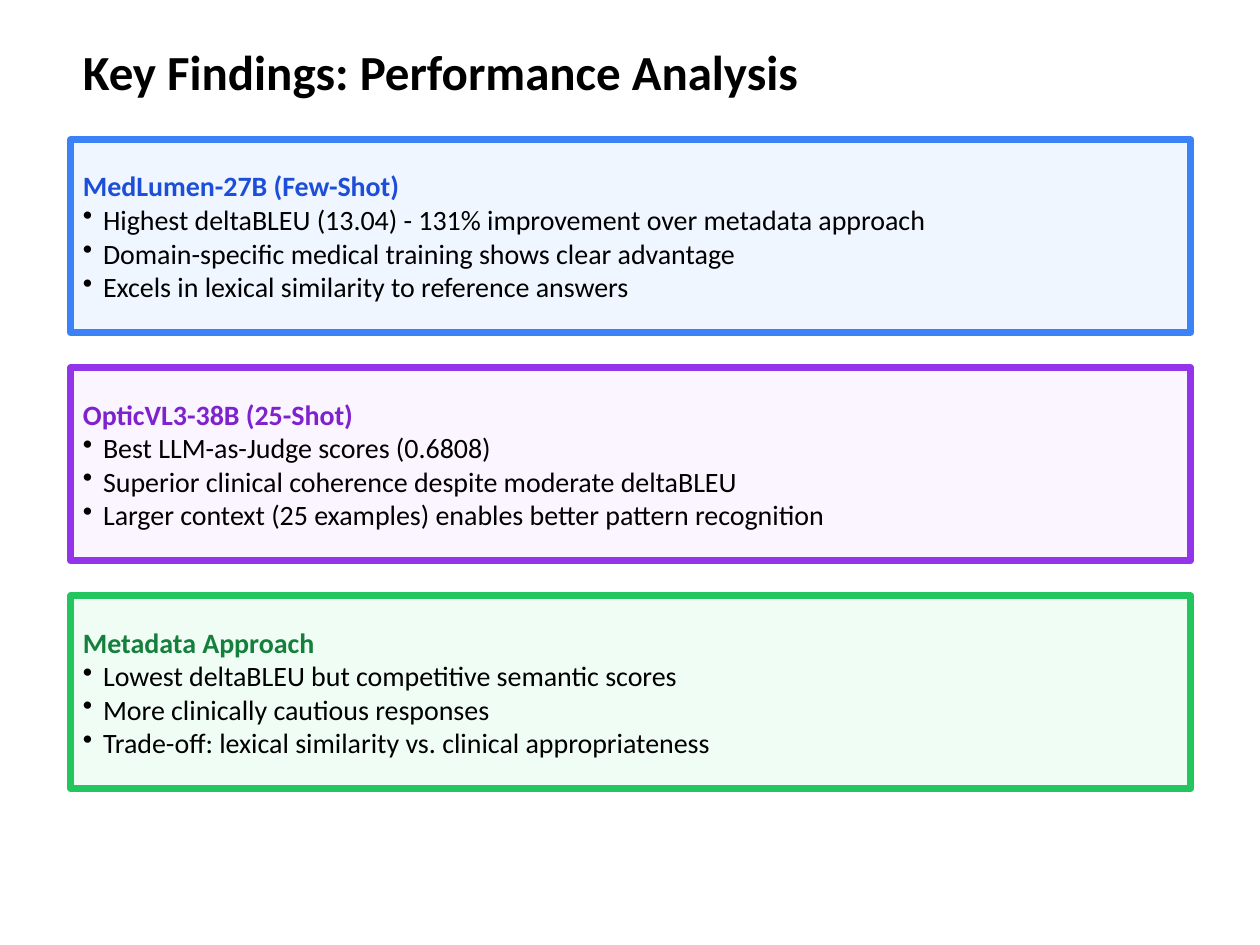
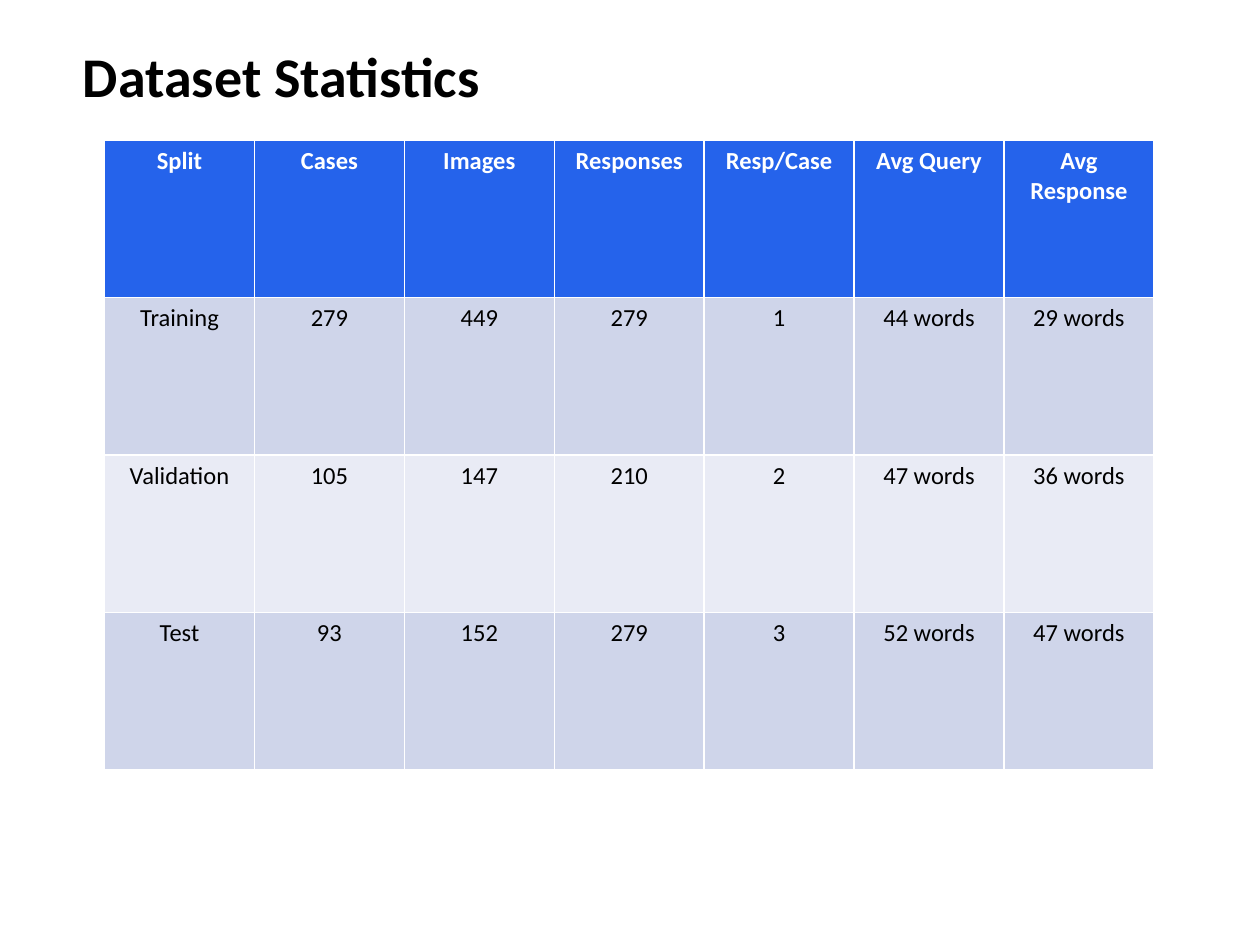
"""Build two slides: key findings in three framed boxes, and a dataset statistics table."""
import pptx
import pptx.dml.color
import pptx.enum.shapes
import pptx.enum.text
import pptx.util
from lxml import etree
from pptx.oxml.ns import qn

Inches = pptx.util.Inches

FONT = "Calibri"
BLACK, WHITE = "000000", "FFFFFF"
LEFT, TOP, WIDTH = 0.56, 1.11, 8.89
BOX_HEIGHT, BOX_GAP = 1.53, 0.28
BULLET_INDENT = 0.16

FINDINGS_TITLE = "Key Findings: Performance Analysis"
FINDINGS = [
    {"heading": "MedLumen-27B (Few-Shot)",
     "points": ["Highest deltaBLEU (13.04) - 131% improvement over metadata approach",
                "Domain-specific medical training shows clear advantage",
                "Excels in lexical similarity to reference answers"],
     "fill": "EFF6FF", "line": "3B82F6", "color": "1D4ED8"},
    {"heading": "OpticVL3-38B (25-Shot)",
     "points": ["Best LLM-as-Judge scores (0.6808)",
                "Superior clinical coherence despite moderate deltaBLEU",
                "Larger context (25 examples) enables better pattern recognition"],
     "fill": "FAF5FF", "line": "9333EA", "color": "7E22CE"},
    {"heading": "Metadata Approach",
     "points": ["Lowest deltaBLEU but competitive semantic scores",
                "More clinically cautious responses",
                "Trade-off: lexical similarity vs. clinical appropriateness"],
     "fill": "F0FDF4", "line": "22C55E", "color": "15803D"},
]

STATS_TITLE = "Dataset Statistics"
STATS = [
    ("Split", "Cases", "Images", "Responses", "Resp/Case", "Avg Query", "Avg Response"),
    ("Training", "279", "449", "279", "1", "44 words", "29 words"),
    ("Validation", "105", "147", "210", "2", "47 words", "36 words"),
    ("Test", "93", "152", "279", "3", "52 words", "47 words"),
]
HEADER_FILL = "2563EB"
BAND_FILLS = ("E9EBF5", "CFD5EA")


def rgb(hex_color):
    return pptx.dml.color.RGBColor.from_string(hex_color)


def write(p, text, size, color=BLACK, bold=False):
    r = p.add_run()
    r.text = text
    r.font.color.rgb = rgb(color)
    for name, value in {"name": FONT, "size": pptx.util.Pt(size), "bold": bold}.items():
        setattr(r.font, name, value)


def add_bullet(p):
    pPr = p._p.get_or_add_pPr()
    pPr.set("marL", str(Inches(BULLET_INDENT)))
    pPr.set("indent", str(-Inches(BULLET_INDENT)))
    etree.SubElement(pPr, qn("a:buChar")).set("char", "•")


def add_slide(prs, title, size, height):
    s = prs.slides.add_slide(prs.slide_layouts[6])
    tf = s.shapes.add_textbox(Inches(LEFT), Inches(0.28), Inches(WIDTH), Inches(height)).text_frame
    tf.word_wrap = True
    tf.auto_size = pptx.enum.text.MSO_AUTO_SIZE.SHAPE_TO_FIT_TEXT
    write(tf.paragraphs[0], title, size, bold=True)
    return s


def add_finding(s, finding, top):
    sp = s.shapes.add_shape(pptx.enum.shapes.MSO_SHAPE.RECTANGLE,
                            Inches(LEFT), Inches(top), Inches(WIDTH), Inches(BOX_HEIGHT))
    sp.shadow.inherit = False
    sp.fill.solid()
    sp.fill.fore_color.rgb = rgb(finding["fill"])
    sp.line.color.rgb = rgb(finding["line"])
    sp.line.width = pptx.util.Pt(4)
    tf = sp.text_frame
    tf.word_wrap = True
    tf.vertical_anchor = pptx.enum.text.MSO_ANCHOR.MIDDLE
    write(tf.paragraphs[0], finding["heading"], 16, finding["color"], True)
    for point in finding["points"]:
        p = tf.add_paragraph()
        add_bullet(p)
        write(p, point, 16)
    for p in tf.paragraphs:
        p.alignment = pptx.enum.text.PP_ALIGN.LEFT


def add_stats(s):
    table = s.shapes.add_table(len(STATS), len(STATS[0]), Inches(0.83), Inches(TOP),
                               Inches(8.33), Inches(5)).table
    for i, row in enumerate(STATS):
        header = i == 0
        for j, text in enumerate(row):
            cell = table.cell(i, j)
            cell.fill.solid()
            cell.fill.fore_color.rgb = rgb(HEADER_FILL if header else BAND_FILLS[i % 2])
            p = cell.text_frame.paragraphs[0]
            p.alignment = pptx.enum.text.PP_ALIGN.CENTER
            write(p, text, 14, WHITE if header else BLACK, header)


def main():
    prs = pptx.Presentation()
    prs.slide_width, prs.slide_height = Inches(10), Inches(7.5)
    s = add_slide(prs, FINDINGS_TITLE, 28, 0.57)
    for i, finding in enumerate(FINDINGS):
        add_finding(s, finding, TOP + i * (BOX_HEIGHT + BOX_GAP))
    add_stats(add_slide(prs, STATS_TITLE, 32, 0.64))
    prs.save("out.pptx")


if __name__ == "__main__":
    main()
